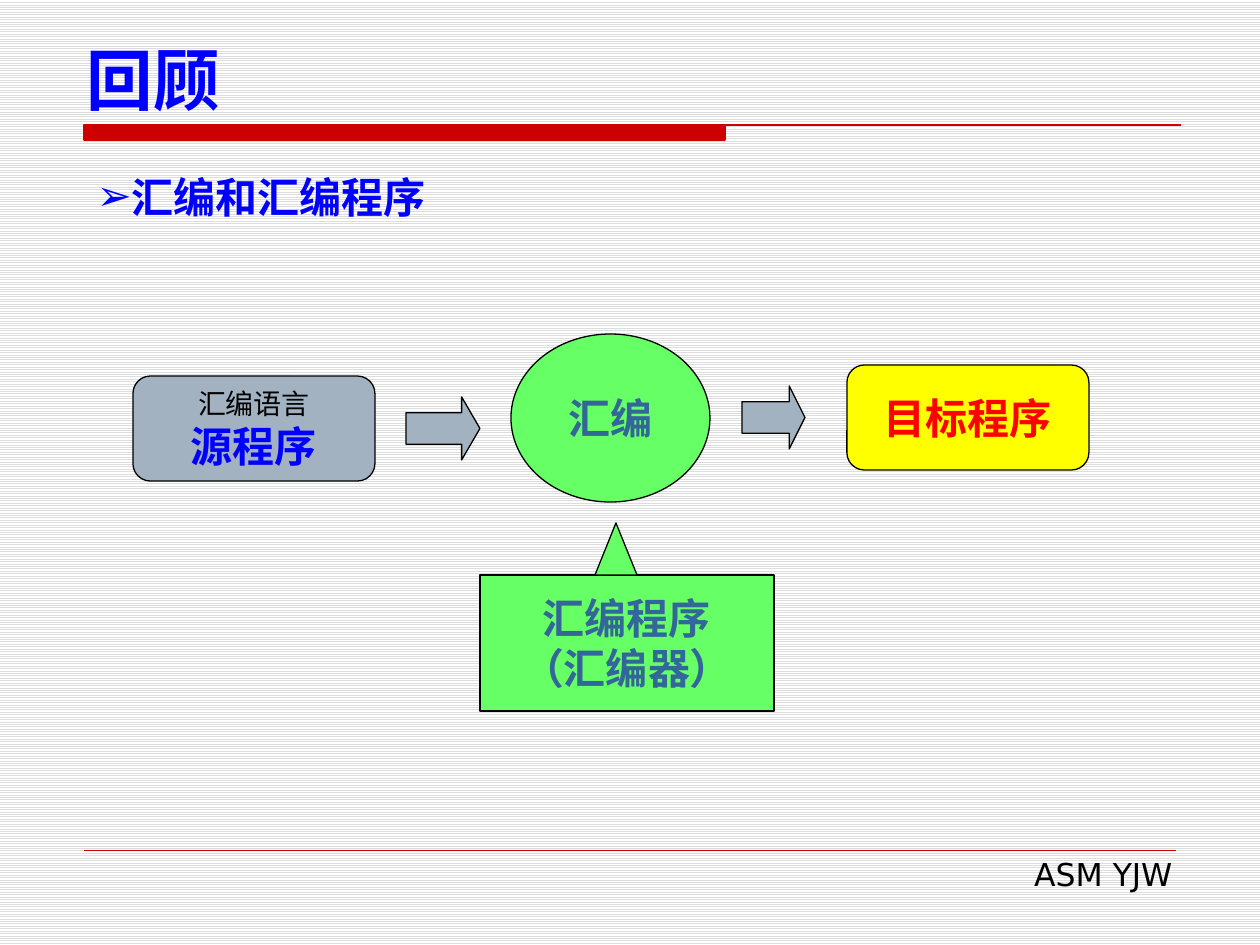
"""Build the review slide on assembling a source program into an object program."""
from dataclasses import dataclass

import lxml.etree
import pptx
import pptx.dml.color
import pptx.enum.dml
import pptx.enum.shapes
import pptx.enum.text
import pptx.oxml.ns
import pptx.util

SCALE = 914400 / 126
SHAPE = pptx.enum.shapes.MSO_SHAPE
ALIGN = pptx.enum.text.PP_ALIGN
ANCHOR = pptx.enum.text.MSO_ANCHOR
SANS, SERIF = "DejaVu Sans", "Times New Roman"
RED, BLUE, GREEN, GREY, BLACK = "CC0000", "0000FF", "66FF66", "A3B2C1", "000000"
STEEL = "336699"


@dataclass(frozen=True)
class Line:
    text: str
    color: str
    size: int = 24
    bold: bool = True
    font: str = SERIF


@dataclass(frozen=True)
class Node:
    kind: int
    box: tuple[int, int, int, int]
    fill: str
    lines: tuple[Line, ...] = ()
    adjust: tuple[float, ...] = ()


NODES = [
    Node(SHAPE.OVAL, (511, 334, 199, 168), GREEN, (Line("汇编", STEEL),)),
    Node(SHAPE.RIGHT_ARROW, (406, 397, 74, 63), GREY, adjust=(0.5, 0.29)),
    Node(SHAPE.RIGHT_ARROW, (742, 386, 63, 63), GREY, adjust=(0.5, 0.25)),
    Node(SHAPE.FLOWCHART_ALTERNATE_PROCESS, (133, 376, 242, 105), GREY,
         (Line("汇编语言", BLACK, 16, False), Line("源程序", BLUE))),
    Node(SHAPE.FLOWCHART_ALTERNATE_PROCESS, (847, 365, 242, 105), "FFFF00",
         (Line("目标程序", "FF0000"),)),
    Node(SHAPE.RECTANGLE, (480, 575, 294, 136), GREEN,
         (Line("汇编程序", STEEL), Line("（汇编器）", STEEL))),
    Node(SHAPE.ISOSCELES_TRIANGLE, (595, 523, 42, 52), GREEN),
]


def px(n: int) -> pptx.util.Emu:
    """Turn pixels into EMU."""
    return pptx.util.Emu(round(n * SCALE))


def rgb(color: str) -> pptx.dml.color.RGBColor:
    """Turn a hex string into a colour."""
    return pptx.dml.color.RGBColor.from_string(color)


def place(sp, box: tuple[int, int, int, int]) -> None:
    """Move and size a shape."""
    for name, n in zip(("left", "top", "width", "height"), box):
        setattr(sp, name, px(n))


def outline(sp, color: str, width: float) -> None:
    """Give a shape or connector a plain line."""
    sp.line.color.rgb = rgb(color)
    sp.line.width = pptx.util.Pt(width)


def paint(sp, fill: str, line: str) -> None:
    """Give a shape a flat fill and a thin outline."""
    sp.shadow.inherit = False
    sp.fill.solid()
    sp.fill.fore_color.rgb = rgb(fill)
    outline(sp, line, 0.75)


def write(sp, lines: tuple[Line, ...], align: int, anchor: int, wrap: bool = True) -> None:
    """Fill a text frame with one paragraph for each line."""
    tf = sp.text_frame
    frame = {"word_wrap": wrap, "vertical_anchor": anchor,
             "auto_size": pptx.enum.text.MSO_AUTO_SIZE.NONE}
    for name, value in frame.items():
        setattr(tf, name, value)
    for i, line in enumerate(lines):
        p = tf.add_paragraph() if i else tf.paragraphs[0]
        p.alignment = align
        p.space_before = pptx.util.Pt(0)
        r = p.add_run()
        r.text = line.text
        style = {"name": line.font, "size": pptx.util.Pt(line.size), "bold": line.bold}
        for name, value in style.items():
            setattr(r.font, name, value)
        r.font.color.rgb = rgb(line.color)


def set_bullet(p, char: str) -> None:
    """Put a bullet directly before the paragraph text."""
    pPr = p._p.get_or_add_pPr()
    pPr.set("marL", "0")
    pPr.set("indent", "0")
    lxml.etree.SubElement(pPr, pptx.oxml.ns.qn("a:buChar")).set("char", char)


def draw_node(s, node: Node) -> None:
    """Draw one part of the diagram."""
    sp = s.shapes.add_shape(node.kind, *map(px, node.box))
    for i, value in enumerate(node.adjust):
        sp.adjustments[i] = value
    paint(sp, node.fill, BLACK)
    if node.lines:
        write(sp, node.lines, ALIGN.CENTER, ANCHOR.MIDDLE, False)


def draw_frame(s) -> None:
    """Draw the pattern, the title bar and the footer."""
    fill = s.background.fill
    fill.patterned()
    fill.pattern = pptx.enum.dml.MSO_PATTERN.LIGHT_HORIZONTAL
    fill.fore_color.rgb = rgb("DDDDDD")
    fill.back_color.rgb = rgb("FFFFFF")

    bar = s.shapes.build_freeform(84, 125, scale=SCALE)
    bar.add_line_segments([(725, 125), (725, 140), (84, 140)], close=True)
    bar.move_to(84, 125)
    bar.add_line_segments([(1181, 125)], close=False)
    paint(bar.convert_to_shape(), RED, RED)

    rule = s.shapes.add_connector(
        pptx.enum.shapes.MSO_CONNECTOR.STRAIGHT, px(84), px(850), px(1176), px(850))
    outline(rule, RED, 0.25)
    lxml.etree.SubElement(rule._element.spPr, pptx.oxml.ns.qn("a:effectLst"))

    footer = s.shapes.add_textbox(*map(px, (481, 849, 704, 50)))
    write(footer, (Line("ASM YJW", BLACK, 18, False, SANS),), ALIGN.RIGHT, ANCHOR.TOP)


def main() -> None:
    """Build and save the slide."""
    prs = pptx.Presentation()
    prs.slide_width, prs.slide_height = px(1260), px(945)
    s = prs.slides.add_slide(prs.slide_layouts[1])
    draw_frame(s)
    title, body = s.shapes.title, s.placeholders[1]
    place(title, (74, 35, 1142, 90))
    write(title, (Line("回顾", BLUE, 38, font=SANS),), ALIGN.LEFT, ANCHOR.BOTTOM)
    place(body, (84, 165, 1091, 63))
    write(body, (Line("汇编和汇编程序", BLUE, font=SANS),), ALIGN.LEFT, ANCHOR.TOP)
    set_bullet(body.text_frame.paragraphs[0], "➢")
    for node in NODES:
        draw_node(s, node)
    prs.save("out.pptx")


if __name__ == "__main__":
    main()
